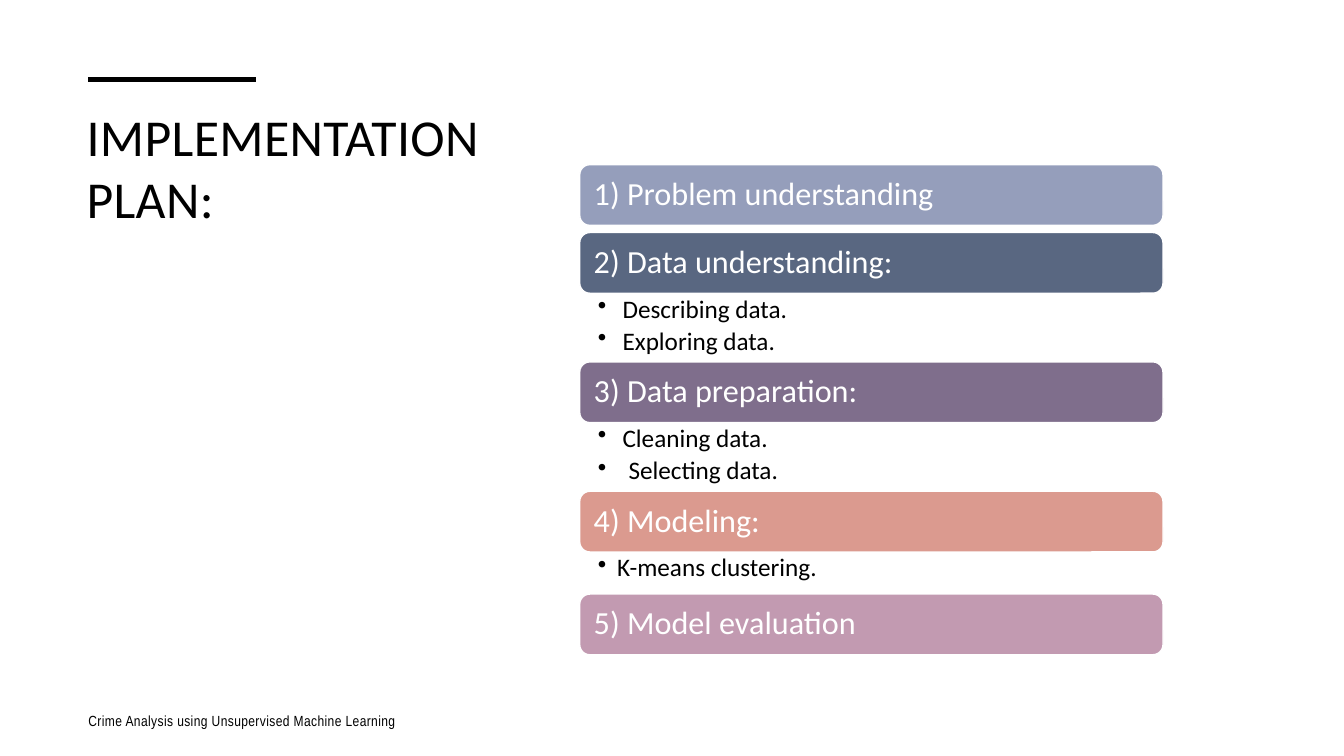
from dataclasses import dataclass

from lxml import etree
from pptx import Presentation
from pptx.dml.color import RGBColor
from pptx.enum import shapes, text
from pptx.oxml.ns import qn
from pptx.util import Cm, Pt


@dataclass(frozen=True)
class Theme:
    font: str = "Calibri"
    footer_font: str = "Arial Narrow"
    dark: str = "000000"
    light: str = "FFFFFF"
    title_size: float = 37
    bar_size: float = 23
    bullet_size: float = 18
    footer_size: float = 10.5
    tracking: str = "30"


THEME = Theme()

# Layout of the plan, in centimetres
PLAN_LEFT, PLAN_TOP, PLAN_WIDTH = 14.61, 4.15, 14.7
BAR_HEIGHT, BAR_GAP = 1.53, 0.18
BULLET_HANG = 0.48

# Step, bar colour, height of its list, list items with their text indent
STEPS = [
    ("1) Problem understanding", "959EBB", 0, []),
    ("2) Data understanding:", "596781", 1.73,
     [("Describing data.", 0.62), ("Exploring data.", 0.62)]),
    ("3) Data preparation:", "7F6E8C", 1.73,
     [("Cleaning data.", 0.62), ("Selecting data.", 0.77)]),
    ("4) Modeling:", "DB9A8F", 1.06, [("K-means clustering.", BULLET_HANG)]),
    ("5) Model evaluation", "C29AB1", 0, []),
]


def style(p, size, color, font=THEME.font):
    p.font.name = font
    p.font.size = Pt(size)
    p.font.color.rgb = RGBColor.from_string(color)


def set_frame(tf, anchor, side=0.25, edge=0.13):
    tf.word_wrap = True
    tf.auto_size = text.MSO_AUTO_SIZE.NONE
    tf.vertical_anchor = anchor
    tf.margin_left = tf.margin_right = Cm(side)
    tf.margin_top = tf.margin_bottom = Cm(edge)


def add_tracked_run(p, words):
    r = p.add_run()
    r.text = words
    r._r.get_or_add_rPr().set("spc", THEME.tracking)


def add_title(slide, words):
    sp = slide.shapes.title
    sp.left, sp.top, sp.width, sp.height = Cm(1.93), Cm(2.51), Cm(10.87), Cm(11.05)
    set_frame(sp.text_frame, text.MSO_ANCHOR.TOP)
    p = sp.text_frame.paragraphs[0]
    p.alignment = text.PP_ALIGN.LEFT
    style(p, THEME.title_size, THEME.dark)
    add_tracked_run(p, words)


def add_accent_line(slide):
    line = slide.shapes.add_connector(
        shapes.MSO_CONNECTOR.STRAIGHT, Cm(2.23), Cm(2.0), Cm(6.45), Cm(2.0))
    line.line.color.rgb = RGBColor.from_string(THEME.dark)
    line.line.width = Pt(3.5)
    etree.SubElement(line._element.spPr, qn("a:effectLst"))


def add_footer(slide, words):
    sp = slide.shapes.add_textbox(Cm(1.98), Cm(17.65), Cm(12.6), Cm(1.02))
    set_frame(sp.text_frame, text.MSO_ANCHOR.MIDDLE)
    p = sp.text_frame.paragraphs[0]
    p.space_after = Pt(6)
    style(p, THEME.footer_size, THEME.dark, THEME.footer_font)
    add_tracked_run(p, words)


def add_bar(slide, top, words, color):
    sp = slide.shapes.add_shape(
        shapes.MSO_SHAPE.ROUNDED_RECTANGLE,
        Cm(PLAN_LEFT), Cm(top), Cm(PLAN_WIDTH), Cm(BAR_HEIGHT))
    sp.shadow.inherit = False
    sp.fill.solid()
    sp.fill.fore_color.rgb = RGBColor.from_string(color)
    sp.line.color.rgb = RGBColor.from_string(THEME.light)
    sp.line.width = Pt(1)
    set_frame(sp.text_frame, text.MSO_ANCHOR.MIDDLE, side=0.28)
    p = sp.text_frame.paragraphs[0]
    p.text = words
    p.alignment = text.PP_ALIGN.LEFT
    p.line_spacing = 0.9
    style(p, THEME.bar_size, THEME.light)


def add_bullets(slide, top, height, items):
    sp = slide.shapes.add_textbox(
        Cm(PLAN_LEFT), Cm(top), Cm(PLAN_WIDTH), Cm(height))
    tf = sp.text_frame
    set_frame(tf, text.MSO_ANCHOR.TOP, side=0.46, edge=0.08)
    for i, (words, indent) in enumerate(items):
        p = tf.add_paragraph() if i else tf.paragraphs[0]
        p.text = words
        p.line_spacing = 0.9
        p.space_after = Pt(0.2 * THEME.bullet_size)
        style(p, THEME.bullet_size, THEME.dark)
        # Hanging bullet
        pPr = p._p.get_or_add_pPr()
        pPr.set("marL", str(Cm(indent)))
        pPr.set("indent", str(-Cm(indent)))
        bullet = etree.Element(qn("a:buChar"), char="•")
        pPr.insert_element_before(bullet, "a:tabLst", "a:defRPr", "a:extLst")


def add_plan(slide):
    top = PLAN_TOP
    for words, color, list_height, items in STEPS:
        add_bar(slide, top, words, color)
        top += BAR_HEIGHT
        if items:
            add_bullets(slide, top, list_height, items)
        top += list_height or BAR_GAP


def main():
    prs = Presentation()
    prs.slide_width, prs.slide_height = Cm(33.87), Cm(19.05)
    slide = prs.slides.add_slide(prs.slide_layouts[5])
    add_title(slide, "IMPLEMENTATION PLAN:")
    add_accent_line(slide)
    add_footer(slide, "Crime Analysis using Unsupervised Machine Learning")
    add_plan(slide)
    prs.save("out.pptx")


if __name__ == "__main__":
    main()
